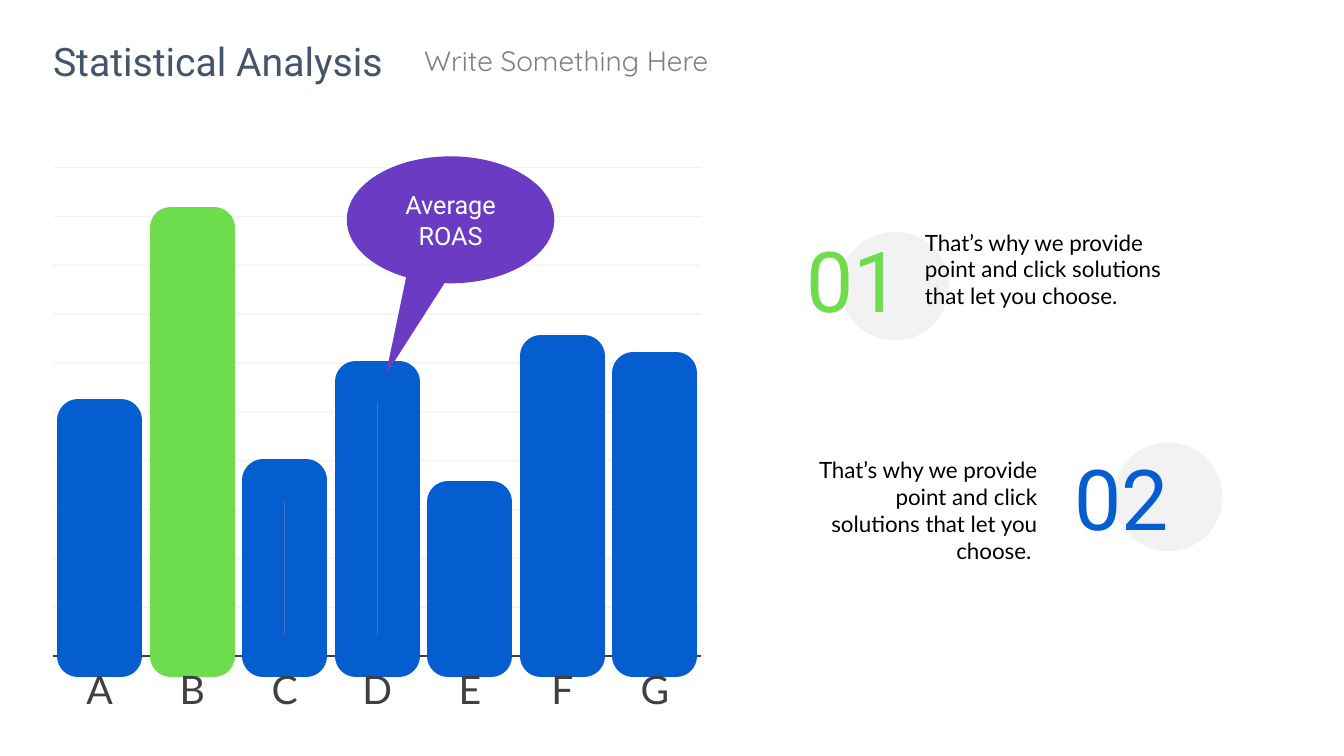
from lxml import etree
from pptx import Presentation
from pptx.chart.data import CategoryChartData
from pptx.dml.color import RGBColor
from pptx.enum.chart import XL_CHART_TYPE, XL_TICK_LABEL_POSITION, XL_TICK_MARK
from pptx.enum.shapes import MSO_SHAPE
from pptx.enum.text import MSO_ANCHOR, PP_ALIGN
from pptx.oxml import parse_xml
from pptx.oxml.ns import nsdecls, qn
from pptx.util import Cm, Pt

LEFT, MID, RIGHT = PP_ALIGN.LEFT, PP_ALIGN.CENTER, PP_ALIGN.RIGHT
ANCHOR = MSO_ANCHOR.MIDDLE
DISC, CALLOUT = MSO_SHAPE.OVAL, MSO_SHAPE.OVAL_CALLOUT
COLUMN = XL_CHART_TYPE.COLUMN_CLUSTERED
NO_TICK, LOW = XL_TICK_MARK.NONE, XL_TICK_LABEL_POSITION.LOW
NO_LABEL = XL_TICK_LABEL_POSITION.NONE
BLUE, GREEN, SEAM = "045ED0", "6EDD4D", "4472C4"
PURPLE, PALE, DARK, GREY = "6B3BC4", "F2F2F2", "404040", "808080"
NOTE = "That’s why we provide point and click solutions that let you choose."
VALUES = dict(A=55, B=100, C=41, D=64, E=36, F=70, G=66)
FILLS = dict(B=GREEN, C=SEAM, D=SEAM)


def color(code):
    """Turn a hex string into a colour."""
    return RGBColor.from_string(code)


def write(frame, text, size, face, code, align):
    """Put one styled run in a text frame."""
    para = frame.paragraphs[0]
    para.alignment = align
    run = para.add_run()
    run.text = text
    run.font.size = Pt(size)
    run.font.name = face
    run.font.color.rgb = color(code)


def label(slide, box, text, size, face, code, align=LEFT, wrap=True):
    """Add a text box."""
    frame = slide.shapes.add_textbox(*map(Cm, box)).text_frame
    frame.word_wrap = wrap
    write(frame, text, size, face, code, align)


def shape(slide, kind, box, code):
    """Add a flat filled shape without outline."""
    form = slide.shapes.add_shape(kind, *map(Cm, box))
    form.shadow.inherit = False
    form.fill.solid()
    form.fill.fore_color.rgb = color(code)
    form.line.fill.background()
    return form


def header(slide, left, top):
    """Add the title and the subtitle beside it."""
    label(slide, (left, top, 8.94, 1.45), "Statistical Analysis",
          28, "Roboto", "44546A", MID, False)
    label(slide, (left + 9.42, top + 0.16, 10.16, 1.12),
          "Write Something Here", 20, "Quicksand", GREY)


def item(slide, left, top, num, code, disc, note, text, align):
    """Add a number on a disc with a note, both offset from the number."""
    shape(slide, DISC, (left + disc[0], top + disc[1], 2.74, 2.74), PALE)
    label(slide, (left, top, 3.05, 2.82), num, 60, "Roboto", code, MID, False)
    label(slide, (left + note[0], top + note[1], note[2], 2.31),
          text, 16, "Lato", "000000", align)


def place(chart):
    """Fix the inner plot area as fractions of the chart."""
    area = chart.plots[0]._element.getparent()
    for old in area.findall(qn("c:layout")):
        area.remove(old)
    layout = parse_xml(f"<c:layout {nsdecls('c')}><c:manualLayout/></c:layout>")
    marks = dict(layoutTarget="inner", xMode="edge", yMode="edge",
                 x="0.019", y="0.02", w="0.961", h="0.87")
    for tag, val in marks.items():
        etree.SubElement(layout[0], qn("c:" + tag)).set("val", val)
    area.insert(0, layout)


def axes(chart):
    """Style the category axis and the faint grid."""
    base = chart.category_axis
    base.major_tick_mark = base.minor_tick_mark = NO_TICK
    base.tick_label_position = LOW
    font = base.tick_labels.font
    font.size, font.name = Pt(28), "Lato"
    font.color.rgb = color(DARK)
    base.format.line.color.rgb = color(DARK)
    base.format.line.width = Pt(1.5)
    side = chart.value_axis
    side.minimum_scale, side.maximum_scale, side.major_unit = 0, 114, 11.4
    side.tick_label_position = NO_LABEL
    side.visible = False
    grid = side.major_gridlines.format.line
    grid.color.rgb = color(GREY)
    grid.width = Pt(1)
    tint = side.major_gridlines._xAx.find(".//" + qn("c:majorGridlines"))
    tint = tint.find(".//" + qn("a:srgbClr"))
    etree.SubElement(tint, qn("a:alpha")).set("val", "10000")


def paint(form, fill, line):
    """Fill bars and round them with a thick outline."""
    form.fill.solid()
    form.fill.fore_color.rgb = color(fill)
    form.line.color.rgb = color(line)
    form.line.width = Pt(30)
    outline = form.line._get_or_add_ln()
    etree.SubElement(outline, qn("a:round"))


def bars(slide, box):
    """Add the column chart and the callout over it."""
    data = CategoryChartData()
    data.categories = list(VALUES)
    data.add_series("Series 1", list(VALUES.values()))
    chart = slide.shapes.add_chart(COLUMN, *map(Cm, box), data).chart
    chart.has_legend = chart.has_title = False
    chart.font.size, chart.font.name = Pt(28), "Lato"
    chart.font.color.rgb = color("000000")
    plot = chart.plots[0]
    plot.vary_by_categories = False
    plot.gap_width, plot.overlap = 116, -100
    series = plot.series[0]
    series.invert_if_negative = False
    paint(series.format, SEAM, SEAM)
    for spot, name in enumerate(VALUES):
        edge = GREEN if name == "B" else BLUE
        paint(series.points[spot].format, FILLS.get(name, BLUE), edge)
    axes(chart)
    place(chart)
    bubble = shape(slide, CALLOUT, (box[0] + 7.72, box[1], 5.23, 3.2), PURPLE)
    bubble.adjustments[0], bubble.adjustments[1] = -0.312, 1.221
    bubble.text_frame.word_wrap = True
    bubble.text_frame.vertical_anchor = ANCHOR
    write(bubble.text_frame, "Average ROAS", 18, "Roboto", "FFFFFF", MID)


def main():
    """Build and save the slide."""
    deck = Presentation()
    deck.slide_width, deck.slide_height = Cm(33.87), Cm(19.05)
    slide = deck.slides.add_slide(deck.slide_layouts[6])
    header(slide, 1.02, 0.81)
    item(slide, 19.99, 5.64, "01", GREEN, (1.19, 0.2), (3.07, 0, 7.24),
         NOTE, LEFT)
    item(slide, 26.75, 11.13, "02", BLUE, (1.32, 0.02), (-6.76, 0.25, 6.4),
         NOTE + " ", RIGHT)
    bars(slide, (1.02, 3.94, 16.99, 14.15))
    deck.save("out.pptx")


if __name__ == "__main__":
    main()
